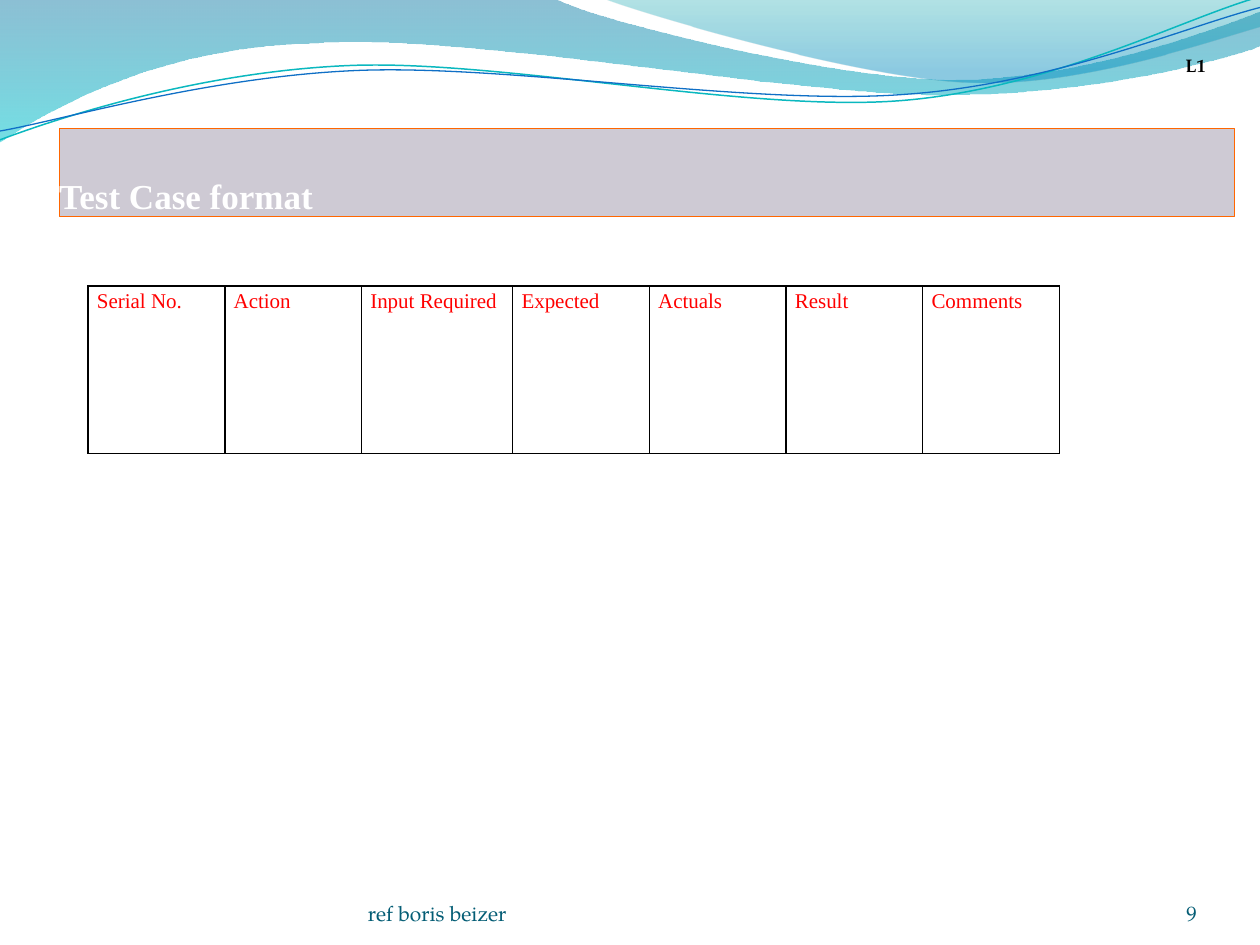
import math

from lxml import etree
from pptx import Presentation
from pptx import util as u
from pptx.dml.color import RGBColor
from pptx.enum import text as t
from pptx.oxml import ns

COLORS = {
    "black": "000000", "white": "FFFFFF", "red": "FF0000", "orange": "FF6600",
    "lilac": "CECAD4", "slate": "045D75", "navy": "0074A1", "cyan": "00C6CF",
    "teal": "00A1A9", "azure": "008BBF", "aqua": "0AB8BF", "blue": "0F6FC6",
}
SERIF, BOOK = "Times New Roman", "TeX Gyre Pagella"
COLUMNS, ROWS = 10, 7.5
TILT = 2.7

BANDS = [
    ([(0, 0), (4.4, -0.01), (4.76, 0.17, 6.64, 0.63, 7.58, 0.63),
      (8.53, 0.63, 9.58, 0.26, 10, 0.09), (10.01, 0.36),
      (9.83, 0.44, 8.7, 0.76, 7.46, 0.75), (6.22, 0.75, 3.82, 0.28, 2.57, 0.34),
      (1.29, 0.36, 0.46, 0.83, -0.01, 1.13), (0, 0)],
     [(0, "navy", 45), (1, "cyan", 55)]),
    ([(4.79, -0.01), (5.09, 0.11, 6.82, 0.62, 7.69, 0.65),
      (8.56, 0.69, 9.61, 0.32, 10, 0.21), (10, 0), (4.79, -0.01)],
     [(0, "teal", 30), (0.8, "azure", 45)]),
]
WAVES = [
    ([(0, 1.11), (0.48, 0.93, 1.58, 0.57, 2.77, 0.52),
      (3.95, 0.47, 5.93, 0.89, 7.13, 0.8), (8.33, 0.71, 9.38, 0.15, 9.98, -0.02)],
     (4.99, 0.57), "aqua", 0.85),
    ([(0, 1.04), (0.47, 0.96, 1.64, 0.61, 2.83, 0.56),
      (4.03, 0.51, 5.97, 0.84, 7.17, 0.75), (8.36, 0.67, 9.41, 0.21, 10, 0.06)],
     (5, 0.59), "blue", 0.75),
]
HEADINGS = ["Serial No.", "Action", "Input Required", "Expected",
            "Actuals", "Result", "Comments"]
TABLE_WIDTH, WIDE_COLUMN = 7.71, 1.2


def color(name):
    return RGBColor.from_string(COLORS[name])


def write(frame, text, font=BOOK, size=12, ink="black", bold=False,
          align=t.PP_ALIGN.LEFT, baseline=None):
    para = frame.paragraphs[0]
    para.alignment = align
    span = para.add_run()
    span.text = text
    span.font.name, span.font.size, span.font.bold = font, u.Pt(size), bold
    span.font.color.rgb = color(ink)
    if baseline:
        span.font._element.set("baseline", str(baseline * 1000))
    return para


def turn(segment, center, degrees):
    cos, sin = math.cos(math.radians(degrees)), math.sin(math.radians(degrees))
    turned = []
    for x, y in zip(segment[::2], segment[1::2]):
        dx, dy = x - center[0], y - center[1]
        turned += [center[0] + dx * cos - dy * sin, center[1] + dx * sin + dy * cos]
    return turned


class SlideBuilder:
    def __init__(self, deck):
        self.column = deck.slide_width / COLUMNS
        self.row = deck.slide_height / ROWS
        self.page = deck.slides.add_slide(deck.slide_layouts[5])
        self.shapes = self.page.shapes

    def place(self, left, top, width, height):
        return [round(left * self.column), round(top * self.row),
                round(width * self.column), round(height * self.row)]

    def outline(self, segments, close):
        points = [(x * self.column, y * self.row) for segment in segments
                  for x, y in zip(segment[::2], segment[1::2])]
        builder = self.shapes.build_freeform(*points[0])
        builder.add_line_segments(points[1:], close=close)
        shape = builder.convert_to_shape()
        shape.shadow.inherit = False
        lines = iter(list(shape.element.spPr.iter(ns.qn("a:lnTo"))))
        for segment in segments[1:]:
            first = next(lines)
            if len(segment) == 6:
                first.tag_name = None
                curve = etree.Element(ns.qn("a:cubicBezTo"))
                first.addprevious(curve)
                for line in (first, next(lines), next(lines)):
                    curve.append(line[0])
                    line.getparent().remove(line)
        return shape

    def band(self, segments, stops):
        shape = self.outline(segments, True)
        shape.line.fill.background()
        shape.fill.gradient()
        shape.fill.gradient_angle = 270
        for stop, (position, name, _) in zip(shape.fill.gradient_stops, stops):
            stop.position, stop.color.rgb = position, color(name)
        tints = shape.element.spPr.iter(ns.qn("a:srgbClr"))
        for tint, (_, _, opacity) in zip(tints, stops):
            etree.SubElement(tint, ns.qn("a:alpha")).set("val", str(opacity * 1000))

    def wave(self, segments, center, name, width):
        level = [turn(segment, center, TILT) for segment in segments]
        shape = self.outline(level, False)
        shape.rotation = 360 - TILT
        shape.fill.background()
        shape.line.color.rgb, shape.line.width = color(name), u.Pt(width)

    def title(self, text, area):
        title = self.shapes.title
        title.left, title.top, title.width, title.height = self.place(*area)
        title.fill.solid()
        title.fill.fore_color.rgb = color("lilac")
        title.line.color.rgb, title.line.width = color("orange"), u.Pt(0.75)
        frame = title.text_frame
        frame.auto_size = t.MSO_AUTO_SIZE.NONE
        frame.vertical_anchor = t.MSO_ANCHOR.BOTTOM
        frame.margin_left = frame.margin_right = frame.margin_bottom = 0
        frame.margin_top = u.Inches(0.05)
        write(frame, text, font=SERIF, size=20, ink="white", bold=True)
        self.shapes._spTree.append(title.element)

    def label(self, text, area, **style):
        frame = self.shapes.add_textbox(*self.place(*area)).text_frame
        frame.word_wrap = False
        frame.auto_size = t.MSO_AUTO_SIZE.SHAPE_TO_FIT_TEXT
        write(frame, text, **style)

    def footer(self, text, area, **style):
        frame = self.shapes.add_textbox(*self.place(*area)).text_frame
        frame.word_wrap = True
        frame.vertical_anchor = t.MSO_ANCHOR.BOTTOM
        frame.margin_left = frame.margin_right = 0
        frame.margin_top = frame.margin_bottom = 0
        write(frame, text, ink="slate", **style)

    def border(self, cell):
        properties = cell._tc.get_or_add_tcPr()
        for index, side in enumerate(("lnL", "lnR", "lnT", "lnB")):
            line = etree.Element(ns.qn("a:" + side), w=str(u.Pt(1)))
            fill = etree.SubElement(line, ns.qn("a:solidFill"))
            etree.SubElement(fill, ns.qn("a:srgbClr")).set("val", COLORS["black"])
            properties.insert(index, line)

    def table(self, headings, widths, left, top, height):
        area = self.place(left, top, sum(widths), height)
        table = self.shapes.add_table(1, len(headings), *area).table
        table.first_row = table.horz_banding = False
        for column, width, cell, heading in zip(
                table.columns, widths, table.rows[0].cells, headings):
            column.width = round(width * self.column)
            cell.fill.background()
            cell.margin_left = cell.margin_right = u.Inches(0.07)
            cell.margin_top = cell.margin_bottom = 0
            para = write(cell.text_frame, heading, font=SERIF, ink="red")
            para.line_spacing, para.space_after = 1.15, u.Pt(6)
            self.border(cell)


def main():
    deck = Presentation()
    deck.slide_width, deck.slide_height = u.Inches(10), u.Inches(7.5)
    slide = SlideBuilder(deck)
    for band in BANDS:
        slide.band(*band)
    for wave in WAVES:
        slide.wave(*wave)
    slide.footer("ref boris beizer", (2.92, 6.95, 3.67, 0.4))
    slide.footer("9", (8.67, 6.95, 0.83, 0.4), align=t.PP_ALIGN.RIGHT)
    slide.title("Test Case format", (0.47, 1.02, 9.33, 0.7))
    slide.label("L1", (9.31, 0.25, 0.37, 0.3), size=18, bold=True, baseline=-12)
    narrow = (TABLE_WIDTH - WIDE_COLUMN) / (len(HEADINGS) - 1)
    widths = [WIDE_COLUMN if name == "Input Required" else narrow
              for name in HEADINGS]
    slide.table(HEADINGS, widths, 0.7, 2.27, 1.33)
    deck.save("out.pptx")


if __name__ == "__main__":
    main()
